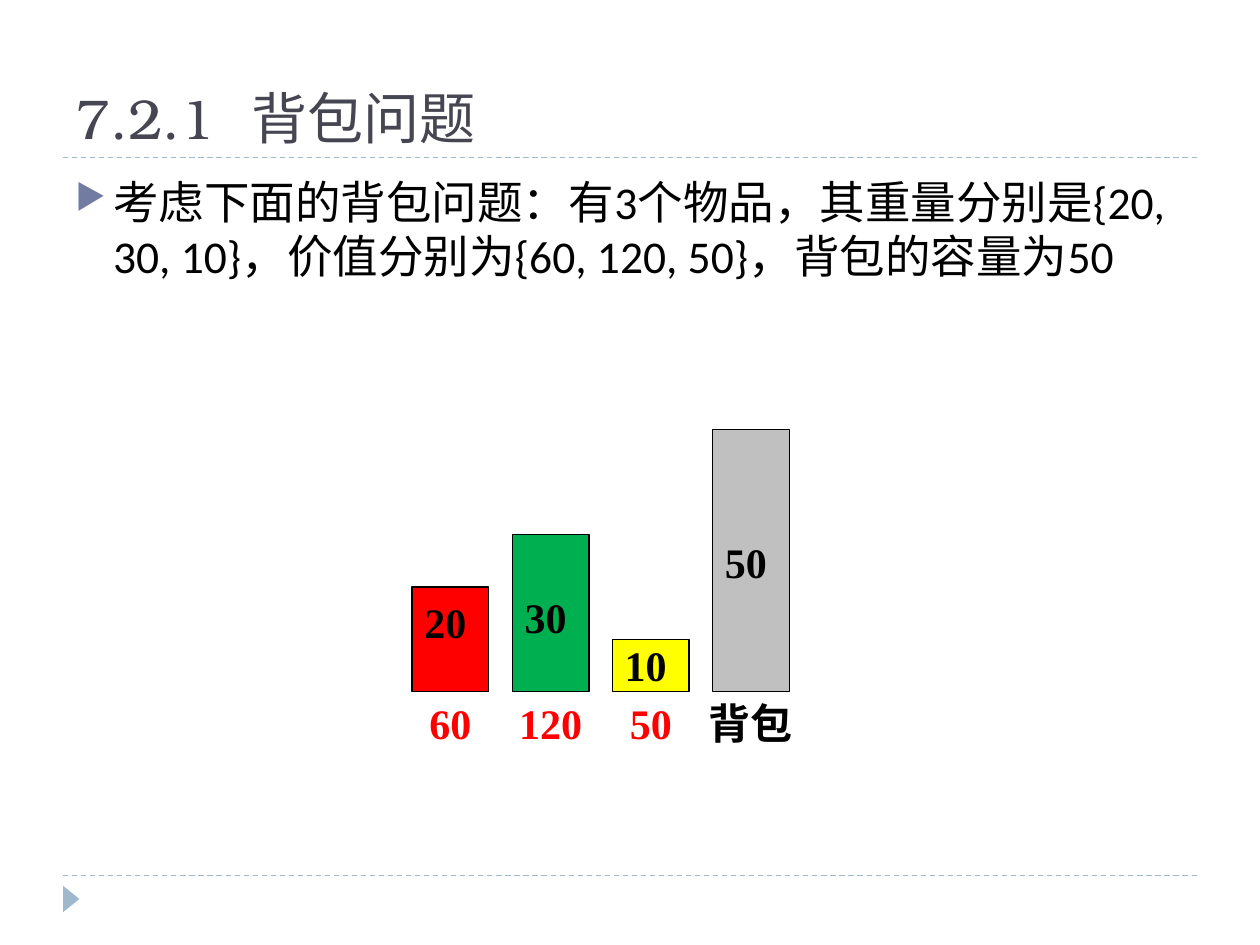
from dataclasses import dataclass

from lxml import etree
from pptx import Presentation
from pptx.dml.color import RGBColor
from pptx.enum.dml import MSO_LINE
from pptx.enum.shapes import MSO_CONNECTOR, MSO_SHAPE
from pptx.enum.text import MSO_ANCHOR, MSO_AUTO_SIZE, PP_ALIGN
from pptx.oxml.ns import qn
from pptx.util import Inches, Pt

DASH = MSO_LINE.DASH
STRAIGHT = MSO_CONNECTOR.STRAIGHT
RECTANGLE = MSO_SHAPE.RECTANGLE
TRIANGLE = MSO_SHAPE.ISOSCELES_TRIANGLE
TOP, BOTTOM = MSO_ANCHOR.TOP, MSO_ANCHOR.BOTTOM
NO_FIT = MSO_AUTO_SIZE.NONE
LEFT, CENTER = PP_ALIGN.LEFT, PP_ALIGN.CENTER

BLACK = RGBColor(0x00, 0x00, 0x00)
RED = RGBColor(0xFF, 0x00, 0x00)
GREEN = RGBColor(0x00, 0xB0, 0x50)
YELLOW = RGBColor(0xFF, 0xFF, 0x00)
GREY = RGBColor(0xC0, 0xC0, 0xC0)
PALE_BLUE = RGBColor(0x9F, 0xB8, 0xCD)
TITLE_COLOR = RGBColor(0x46, 0x46, 0x53)
BULLET_COLOR = RGBColor(0x72, 0x7C, 0xA3)

TITLE_FORMAT = {"name": "TeX Gyre Bonum", "size": Pt(32), "bold": False}
BODY_FORMAT = {"name": "Calibri", "size": Pt(26)}
BAR_FORMAT = {"name": "Times New Roman", "size": Pt(24), "bold": True}

FIRST_BAR, BAR_STEP, BAR_WIDTH = 3.27, 0.795, 0.61
BASELINE = 5.49
INCHES_PER_WEIGHT = 2.08 / 50
LABEL_WIDTH, LABEL_HEIGHT = 0.88, 0.5


@dataclass
class Bar:
    weight: int
    label: str
    fill: RGBColor
    label_color: RGBColor
    text_top: float


BARS = [
    Bar(20, "60", RED, RED, 0.08),
    Bar(30, "120", GREEN, RED, 0.45),
    Bar(10, "50", YELLOW, RED, 0),
    Bar(50, "背包", GREY, BLACK, 0.85),
]


def write(frame, text: str, font_format: dict, color: RGBColor,
          align=LEFT, anchor=TOP):
    """Put one formatted paragraph in a text frame."""
    frame.auto_size = NO_FIT
    frame.vertical_anchor = anchor
    para = frame.paragraphs[0]
    para.alignment = align
    span = para.add_run()
    span.text = text
    for key, value in font_format.items():
        setattr(span.font, key, value)
    span.font.color.rgb = color
    return para


def add_rule(page, top: float) -> None:
    rule = page.shapes.add_connector(
        STRAIGHT, Inches(0.5), Inches(top), Inches(9.5), Inches(top))
    rule.line.color.rgb = PALE_BLUE
    rule.line.width = Pt(0.75)
    rule.line.dash_style = DASH
    properties = rule._element.spPr
    etree.SubElement(properties, qn("a:effectLst"))


def add_bullet(para) -> None:
    """Give a paragraph a coloured triangle bullet and hanging indent."""
    properties = para._p.get_or_add_pPr()
    properties.set("marL", str(Inches(0.3)))
    properties.set("indent", str(-Inches(0.3)))
    color = etree.SubElement(properties, qn("a:buClr"))
    etree.SubElement(color, qn("a:srgbClr"), val=str(BULLET_COLOR))
    etree.SubElement(properties, qn("a:buSzPct"), val="76000")
    etree.SubElement(properties, qn("a:buChar"), char="▶")


def add_bar(group, index: int, bar: Bar) -> None:
    left = FIRST_BAR + index * BAR_STEP
    height = bar.weight * INCHES_PER_WEIGHT
    box = group.shapes.add_shape(
        RECTANGLE, Inches(left), Inches(BASELINE - height),
        Inches(BAR_WIDTH), Inches(height))
    box.shadow.inherit = False
    box.fill.solid()
    box.fill.fore_color.rgb = bar.fill
    box.line.color.rgb = BLACK
    box.line.width = Pt(0.75)
    frame = box.text_frame
    margins = {"left": 0.1, "top": bar.text_top, "right": 0, "bottom": 0}
    for side, margin in margins.items():
        setattr(frame, f"margin_{side}", Inches(margin))
    write(frame, str(bar.weight), BAR_FORMAT, BLACK)

    # Label centred under the bar
    label = group.shapes.add_textbox(
        Inches(left + (BAR_WIDTH - LABEL_WIDTH) / 2), Inches(BASELINE),
        Inches(LABEL_WIDTH), Inches(LABEL_HEIGHT))
    label.text_frame.word_wrap = False
    write(label.text_frame, bar.label, BAR_FORMAT, bar.label_color, CENTER)


deck = Presentation()
deck.slide_width, deck.slide_height = Inches(10), Inches(7.5)
page = deck.slides.add_slide(deck.slide_layouts[5])

# Rules and corner marker
for rule_top in (6.95, 1.25):
    add_rule(page, rule_top)
marker = page.shapes.add_shape(
    TRIANGLE, Inches(0.46), Inches(7.07), Inches(0.21), Inches(0.13))
marker.rotation = 90
marker.shadow.inherit = False
marker.fill.solid()
marker.fill.fore_color.rgb = PALE_BLUE
marker.line.fill.background()

# Title
title = page.shapes.title
title.left, title.top = Inches(0.5), Inches(0.17)
title.width, title.height = Inches(9), Inches(1.08)
write(title.text_frame, "7.2.1  背包问题", TITLE_FORMAT, TITLE_COLOR, anchor=BOTTOM)

# Problem statement
body = page.shapes.add_textbox(Inches(0.5), Inches(1.33), Inches(9), Inches(5.4))
body.text_frame.word_wrap = True
statement = write(
    body.text_frame,
    "考虑下面的背包问题：有3个物品，其重量分别是{20, 30, 10}，"
    "价值分别为{60, 120, 50}，背包的容量为50",
    BODY_FORMAT, BLACK)
statement.space_before = Pt(6)
add_bullet(statement)

# Items and knapsack
diagram = page.shapes.add_group_shape()
for bar_index, item in enumerate(BARS):
    add_bar(diagram, bar_index, item)

deck.save("out.pptx")
